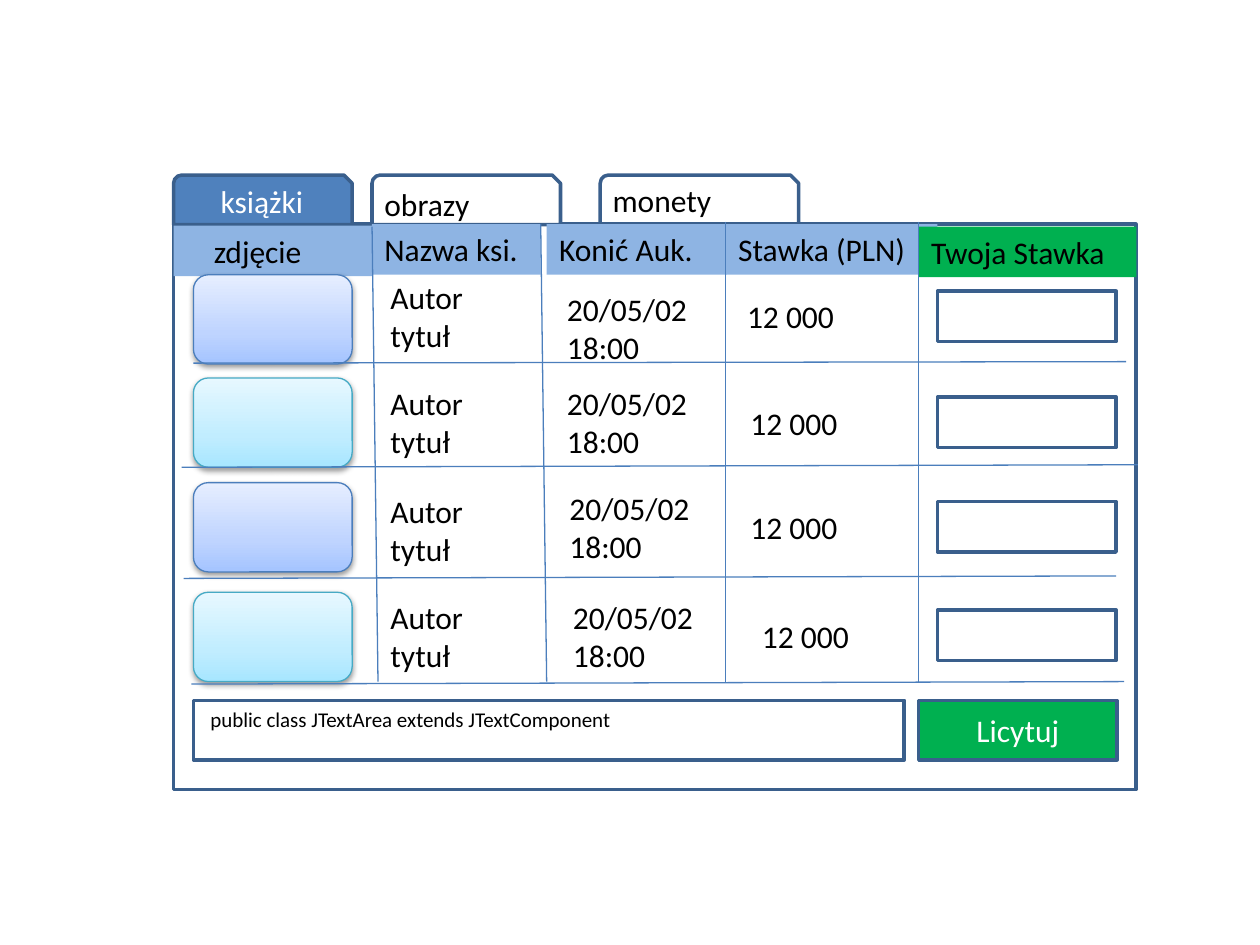
from lxml import etree
from pptx import Presentation
from pptx.dml.color import RGBColor
from pptx.enum.shapes import MSO_CONNECTOR, MSO_SHAPE
from pptx.enum.text import MSO_ANCHOR, PP_ALIGN
from pptx.oxml import parse_xml
from pptx.oxml.ns import nsdecls, qn
from pptx.util import Cm, Pt

THEME = {
    "font": "Calibri", "body": 18, "small": 12, "frame": 2, "rule": 0.75,
    "text": "000000", "white": "FFFFFF", "border": "3A5F8C", "grid": "4B7EBC",
    "active": "4F81BD", "header": "8EB4E3", "action": "00B050",
    "violet": (("A4C4FF", "BFD4FF", "E6EEFF"), "4B7EBC"),
    "cyan": (("A7E6FF", "C1EDFF", "E7F8FF"), "46AAC5"),
}

ROW_H, PHOTO_H = 1.02, 1.8
PANEL = (3.5, 4.52, 19.4, 11.4)
TABS = [
    (3.5, 3.6, "active", "książki", None),
    (7.5, 3.8, "white", "obrazy", 3.6),
    (12.1, 4, None, "monety", 3.53),
]
HEADERS = [
    (3.5, 4.55, 4, "header", "zdjęcie", 0.81),
    (7.5, 4.52, 3.4, "header", "Nazwa ksi.", 0.25),
    (11.02, 4.52, 3.63, "header", "Konić Auk.", 0.25),
    (14.63, 4.52, 4.27, "header", "Stawka (PLN)", 0.25),
    (18.52, 4.57, 4.39, "action", "Twoja Stawka", 0.25),
]
BOOK, END, PRICE = "Autor\ntytuł", "20/05/02 18:00", "12 000"
AUCTIONS = [
    {"photo": 5.54, "book": 5.49, "end": (11.18, 5.72), "price": (14.81, 5.87), "bid": 5.87},
    {"photo": 7.62, "book": 7.62, "end": (11.18, 7.62), "price": (14.88, 8.03), "bid": 8},
    {"photo": 9.73, "book": 9.8, "end": (11.23, 9.73), "price": (14.88, 10.11), "bid": 10.11},
    {"photo": 11.94, "book": 11.94, "end": (11.3, 11.94), "price": (15.11, 12.32), "bid": 12.3},
]
ROW_RULES = [
    (3.9, 7.32, 22.7, 7.29), (3.66, 9.42, 22.94, 9.37),
    (3.7, 11.66, 22.5, 11.61), (3.86, 13.79, 22.66, 13.74),
]
COLUMN_RULES = [
    (7.5, 4.57, 7.62, 13.74), (10.9, 4.52, 11.02, 13.74),
    (14.63, 4.47, 14.63, 13.74), (18.52, 4.47, 18.52, 13.74),
]
MESSAGE = "public class JTextArea extends JTextComponent"

prs = Presentation()
prs.slide_width, prs.slide_height = Cm(25.4), Cm(19.05)
slide = prs.slides.add_slide(prs.slide_layouts[6])


def color(name):
    return RGBColor.from_string(THEME.get(name, name))


def write(shape, text, ink="text", size="body", centered=False, left=0.25):
    frame = shape.text_frame
    frame.word_wrap = True
    frame.margin_left = Cm(left)
    frame.vertical_anchor = MSO_ANCHOR.MIDDLE if centered else MSO_ANCHOR.TOP
    frame.text = text
    for paragraph in frame.paragraphs:
        paragraph.alignment = PP_ALIGN.CENTER if centered else PP_ALIGN.LEFT
        font = paragraph.font
        font.name, font.size = THEME["font"], Pt(THEME[size])
        font.color.rgb = color(ink)


def add_box(x, y, w, h, fill=None, line="border", width="frame", kind=MSO_SHAPE.RECTANGLE):
    box = slide.shapes.add_shape(kind, Cm(x), Cm(y), Cm(w), Cm(h))
    box.shadow.inherit = False
    if fill:
        box.fill.solid()
        box.fill.fore_color.rgb = color(fill)
    else:
        box.fill.background()
    if line:
        box.line.color.rgb = color(line)
        box.line.width = Pt(THEME[width])
    else:
        box.line.fill.background()
    return box


def add_label(x, y, w, h, text):
    write(slide.shapes.add_textbox(Cm(x), Cm(y), Cm(w), Cm(h)), text)


def add_photo(y, palette):
    stops, outline = THEME[palette]
    photo = add_box(3.9, y, 3.2, PHOTO_H, None, outline, "rule", MSO_SHAPE.ROUNDED_RECTANGLE)
    props = photo.fill._xPr
    stop_xml = "".join(
        f'<a:gs pos="{pos}"><a:srgbClr val="{tone}"/></a:gs>'
        for pos, tone in zip((0, 35000, 100000), stops))
    gradient = parse_xml(
        f'<a:gradFill {nsdecls("a")} rotWithShape="1"><a:gsLst>{stop_xml}</a:gsLst>'
        '<a:lin ang="16200000" scaled="0"/></a:gradFill>')
    props.replace(props.find(qn("a:noFill")), gradient)
    props.find(qn("a:effectLst")).append(parse_xml(
        f'<a:outerShdw {nsdecls("a")} blurRad="40000" dist="20000" dir="5400000" rotWithShape="0">'
        '<a:srgbClr val="000000"><a:alpha val="38000"/></a:srgbClr></a:outerShdw>'))


def add_rule(x1, y1, x2, y2):
    rule = slide.shapes.add_connector(MSO_CONNECTOR.STRAIGHT, Cm(x1), Cm(y1), Cm(x2), Cm(y2))
    rule.line.color.rgb = color("grid")
    rule.line.width = Pt(THEME["rule"])
    etree.SubElement(rule._element.spPr, qn("a:effectLst"))


add_box(*PANEL, "white")

for x, w, fill, text, label_top in TABS:
    tab = add_box(x, 3.53, w, 1, fill, kind=MSO_SHAPE.SNIP_ROUND_RECTANGLE)
    if label_top is None:
        write(tab, text, "white", centered=True)
    else:
        add_label(x, label_top, 3.4, ROW_H, text)

for x, y, w, fill, text, left in HEADERS:
    write(add_box(x, y, w, ROW_H, fill, None), text, left=left)

for index, auction in enumerate(AUCTIONS):
    add_photo(auction["photo"], ("violet", "cyan")[index % 2])
    add_label(7.62, auction["book"], 3.4, PHOTO_H, BOOK)
    add_label(*auction["end"], 3.4, PHOTO_H, END)
    add_label(*auction["price"], 3.4, ROW_H, PRICE)
    add_box(18.9, auction["bid"], 3.6, ROW_H, "white")

for ends in ROW_RULES + COLUMN_RULES:
    add_rule(*ends)

write(add_box(18.52, 14.12, 4, 1.2, "action"), "Licytuj", "white", centered=True)
write(add_box(3.9, 14.12, 14.33, 1.2), MESSAGE, size="small", left=0.34)

prs.save("out.pptx")
